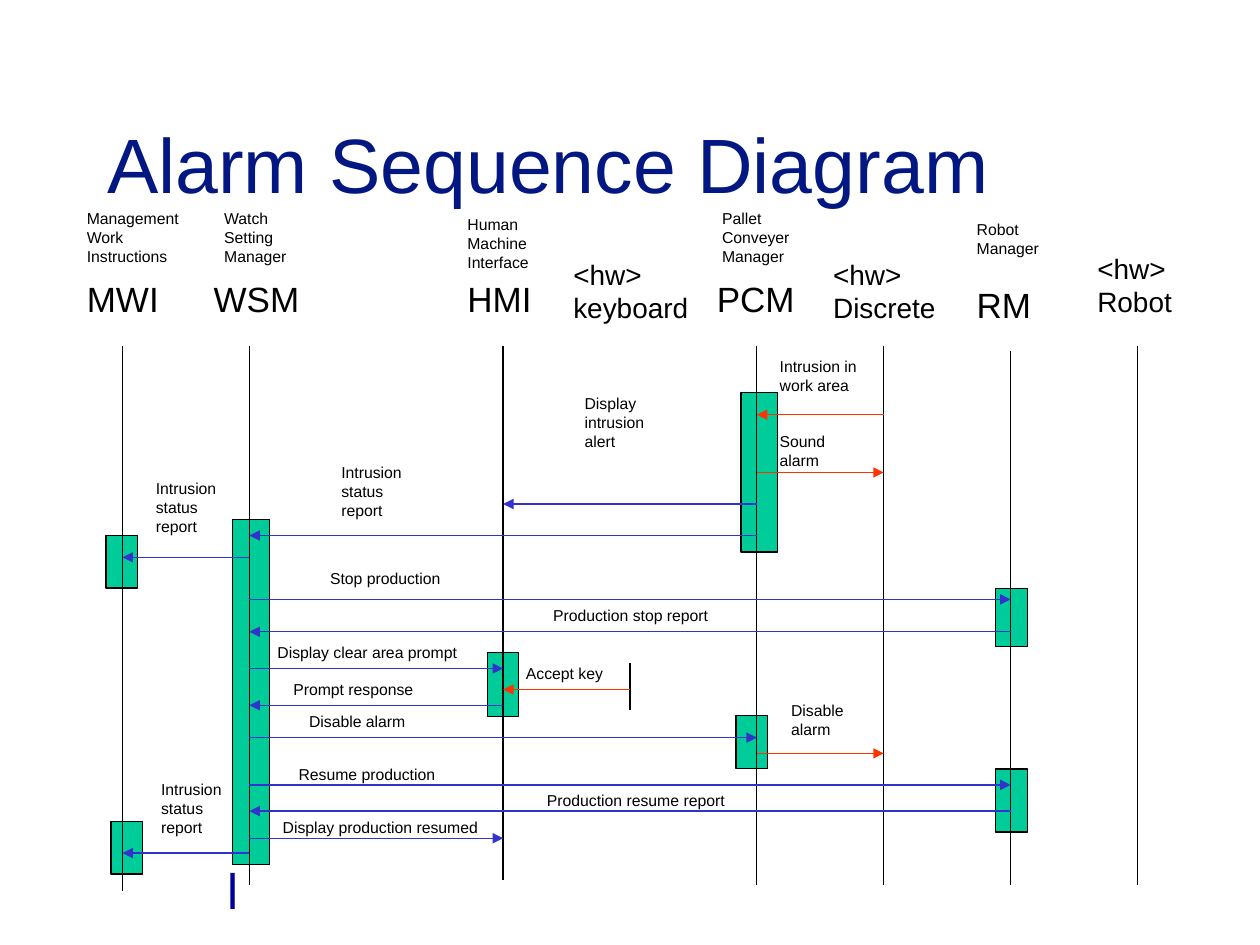
import pptx
import pptx.util
import pptx.dml.color
import pptx.enum.shapes
import pptx.enum.text
import lxml.etree
from pptx.oxml.ns import qn

Pt = pptx.util.Pt

COLORS = {
    "ink": "000000",
    "title": "021782",
    "mark": "000099",
    "bar": "00CC99",
    "soft": "3333CC",
    "hard": "FF3300",
}

MWI, WSM, HMI, KEY, PCM, DISC, RM, ROBOT = [
    70 + 72.5 * slot for slot in (0, 1, 3, 4, 5, 6, 7, 8)
]

BARS = [
    (63.5, 469.5, 18, 30),
    (420.5, 409, 18, 30),
    (278.5, 373, 18, 36.5),
    (60.5, 306, 18, 30),
    (423.5, 224.5, 21, 91),
    (569, 336.5, 18, 33),
    (569, 439.5, 18, 36),
    (133, 297, 21, 197),
]

LIVES = [
    (MWI, 197.5, 509),
    (WSM, 197.5, 506),
    (HMI, 197.5, 503),
    (KEY, 379, 406),
    (PCM, 197.5, 506),
    (DISC, 197.5, 506),
    (RM, 200.5, 506),
    (ROBOT, 197.5, 506),
]

CALLS = [
    (DISC, PCM, 237, "hard"),
    (PCM, DISC, 270, "hard"),
    (PCM, HMI, 288, "soft"),
    (PCM, WSM, 306, "soft"),
    (WSM, MWI, 318.5, "soft"),
    (WSM, RM, 342.5, "soft"),
    (RM, WSM, 361, "soft"),
    (WSM, HMI, 382, "soft"),
    (KEY, HMI, 394, "hard"),
    (HMI, WSM, 403, "soft"),
    (WSM, PCM, 421.5, "soft"),
    (PCM, DISC, 430.5, "hard"),
    (WSM, RM, 448.5, "soft"),
    (RM, WSM, 463.5, "soft"),
    (WSM, HMI, 479, "soft"),
    (WSM, MWI, 487.5, "soft"),
]

NAMES = [
    ("MWI", 42.5, 155),
    ("WSM", 115, 155),
    ("HMI", 260, 155),
    ("PCM", 402.5, 155),
    ("RM", 551, 158.5),
]

PARTS = [
    ("<hw> keyboard", 320.5, 143.5, 82),
    ("<hw> Discrete", 469, 143.5, 82),
    ("<hw>Robot", 620, 140, 60.5),
]

NOTES = [
    ("Management Work Instructions", 42.5, 116, 75.5, 3),
    ("Watch Setting Manager", 121, 116, 51, 3),
    ("Human Machine Interface", 260, 119, 75.5, 3),
    ("Pallet Conveyer Manager", 405.5, 116, 75.5, 3),
    ("Robot Manager", 551, 122, 75.5, 2),
    ("Intrusion in work area", 438.5, 200.5, 60.5, 2),
    ("Sound alarm", 438.5, 243, 60.5, 2),
    ("Display intrusion alert", 327, 221.5, 60.5, 3),
    ("Intrusion status report", 188, 261, 60.5, 3),
    ("Intrusion status report", 82, 270, 60.5, 3),
    ("Stop production", 181.5, 321.5, 81.5, 1),
    ("Production stop report", 309, 342.5, 124, 1),
    ("Display clear area prompt", 151.5, 363.5, 136, 1),
    ("Accept key", 293.5, 375.5, 72.5, 1),
    ("Prompt response", 160.5, 385, 106, 1),
    ("Disable alarm", 169.5, 403, 106, 1),
    ("Disable alarm", 445, 397, 60.5, 2),
    ("Resume production", 163.5, 433.5, 106, 1),
    ("Production resume report", 305.5, 448.5, 124, 1),
    ("Display production resumed", 154.5, 464, 136, 1),
    ("Intrusion status report", 85, 442, 60.5, 3),
]


def rgb(name):
    return pptx.dml.color.RGBColor.from_string(COLORS[name])


def style(para, size, color="ink", face="Arial"):
    para.alignment = pptx.enum.text.PP_ALIGN.LEFT
    para.font.size = Pt(size)
    para.font.name = face
    para.font.color.rgb = rgb(color)


def add_title(slide, text):
    title = slide.shapes.title
    title.left, title.top = Pt(54), Pt(48)
    title.width, title.height = Pt(612), Pt(90)
    title.text_frame.text = text
    title.text_frame.vertical_anchor = pptx.enum.text.MSO_ANCHOR.MIDDLE
    style(title.text_frame.paragraphs[0], 44, "title")


def add_text(slide, text, left, top, width, size, rows=1):
    high = 7.2 + 1.2 * size * rows
    box = slide.shapes.add_textbox(Pt(left), Pt(top), Pt(width), Pt(high))
    frame = box.text_frame
    frame.word_wrap = True
    frame.auto_size = pptx.enum.text.MSO_AUTO_SIZE.SHAPE_TO_FIT_TEXT
    frame.text = text
    para = frame.paragraphs[0]
    style(para, size)
    para.space_before = Pt(round(size * 0.625, 1))
    return box


def add_mark(slide):
    box = add_text(slide, "l", 122.5, 488, 21.5, 28)
    box.text_frame.word_wrap = False
    para = box.text_frame.paragraphs[0]
    style(para, 28, "mark", "Lato")
    para.space_before = Pt(0)


def add_bar(slide, left, top, width, high):
    kind = pptx.enum.shapes.MSO_SHAPE.RECTANGLE
    bar = slide.shapes.add_shape(kind, Pt(left), Pt(top), Pt(width), Pt(high))
    bar.shadow.inherit = False
    bar.fill.solid()
    bar.fill.fore_color.rgb = rgb("bar")
    bar.line.color.rgb = rgb("ink")
    bar.line.width = Pt(0.75)


def add_line(slide, start, end, color="ink", arrow=False):
    kind = pptx.enum.shapes.MSO_CONNECTOR.STRAIGHT
    ends = [Pt(value) for value in start + end]
    line = slide.shapes.add_connector(kind, *ends)
    line.line.color.rgb = rgb(color)
    line.line.width = Pt(0.75)
    if arrow:
        stroke = line.line._get_or_add_ln()
        lxml.etree.SubElement(stroke, qn("a:tailEnd"), type="triangle")
    lxml.etree.SubElement(line._element.spPr, qn("a:effectLst"))


def main():
    deck = pptx.Presentation()
    deck.slide_width, deck.slide_height = Pt(720), Pt(540)
    slide = deck.slides.add_slide(deck.slide_layouts[5])
    add_title(slide, "Alarm Sequence Diagram")
    add_mark(slide)
    for bar in BARS:
        add_bar(slide, *bar)
    for x, top, foot in LIVES:
        add_line(slide, (x, top), (x, foot))
    for start, end, y, color in CALLS:
        add_line(slide, (start, y), (end, y), color, True)
    for text, left, top in NAMES:
        add_text(slide, text, left, top, 75.5, 20)
    for text, left, top, width in PARTS:
        add_text(slide, text, left, top, width, 16, 2)
    for text, left, top, width, rows in NOTES:
        add_text(slide, text, left, top, width, 9, rows)
    deck.save("out.pptx")


if __name__ == "__main__":
    main()
